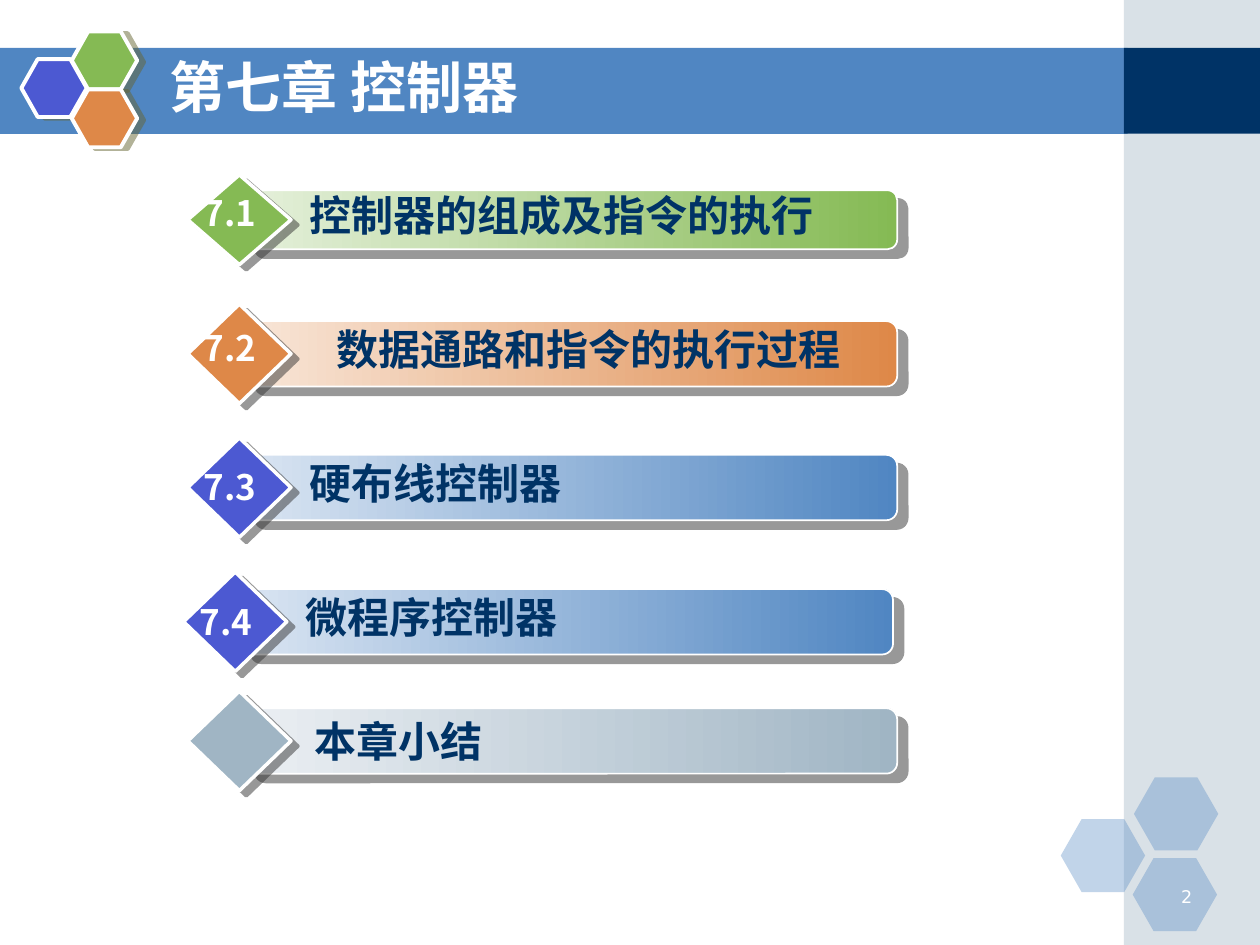
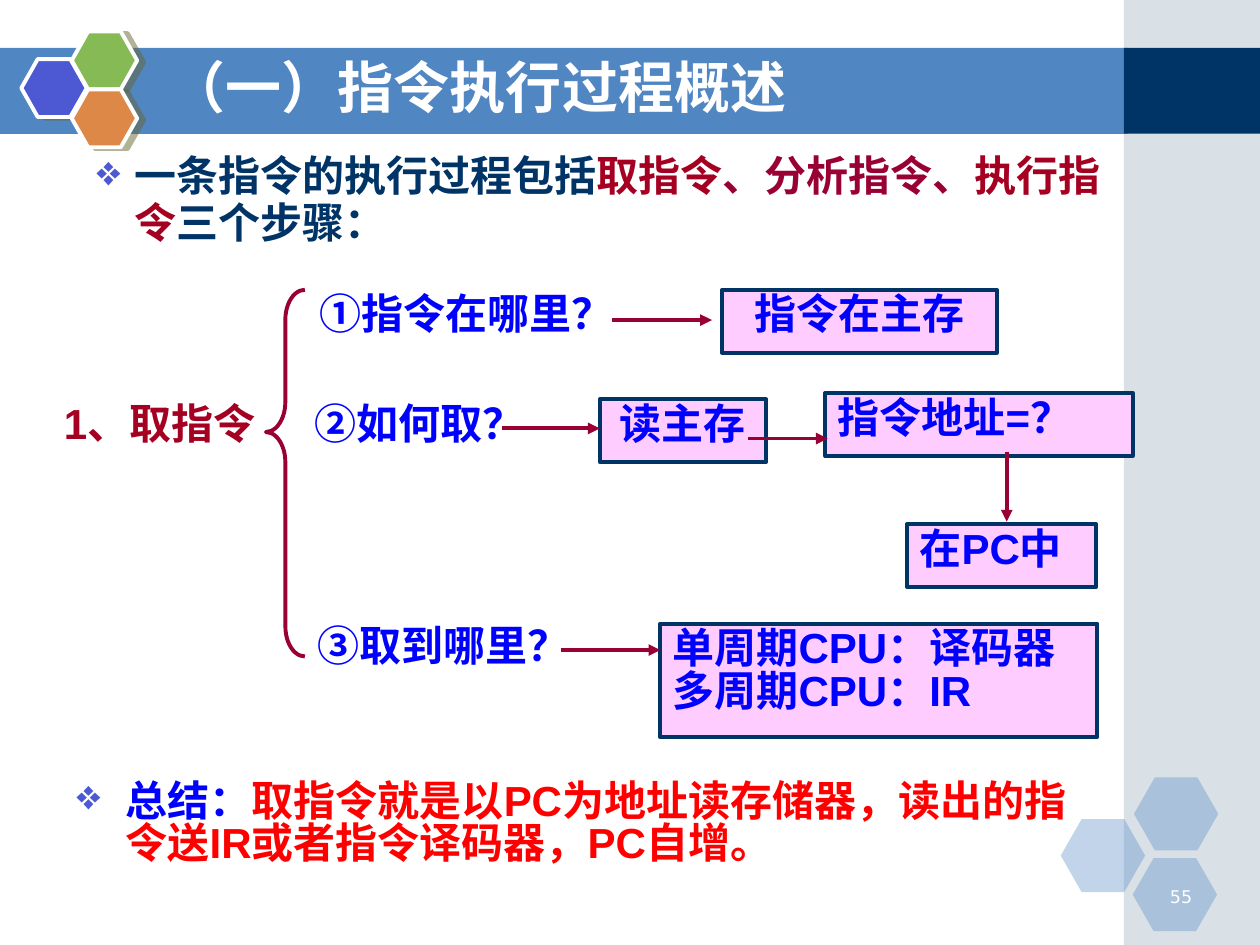
"""Build two slides about the controller chapter: an outline and the instruction fetch."""
import lxml.etree
import pptx
import pptx.dml.color
import pptx.enum.shapes
import pptx.enum.text
import pptx.oxml.ns
import pptx.util

Pt = pptx.util.Pt
Shape = pptx.enum.shapes.MSO_SHAPE
Align = pptx.enum.text.PP_ALIGN
Anchor = pptx.enum.text.MSO_ANCHOR
qn = pptx.oxml.ns.qn

WHITE, NAVY, BLUE, STEEL = "FFFFFF", "003366", "5086C2", "A0B5C4"
GREEN, ORANGE, INDIGO = "85BA54", "DE8848", "4C59D2"
CRIMSON, WINE, INK, RED, PINK = "A50021", "990033", "0000FF", "FF0000", "FFCCFF"
CJK = "Noto Sans CJK SC"
LINE_SPACING = 0.84


def rgb(value):
    return pptx.dml.color.RGBColor.from_string(value)


def add_xml(parent, tag, **attributes):
    return lxml.etree.SubElement(parent, qn(tag), attributes)


class Deck:
    """Holds the shared style and the current slide."""

    def __init__(self):
        self.prs = pptx.Presentation()
        self.prs.slide_width, self.prs.slide_height = Pt(720), Pt(540)
        self.slide = None

    def new_slide(self, title, number):
        self.slide = self.prs.slides.add_slide(self.prs.slide_layouts[6])
        self.shape(Shape.RECTANGLE, 0, 27.4, 644.4, 49.2, BLUE)
        self.shape(Shape.RECTANGLE, 642.2, 0, 77.8, 540, STEEL, alpha=40)
        self.shape(Shape.RECTANGLE, 642.2, 27.4, 77.8, 49, NAVY)
        for left, top in ((606.2, 468), (648, 444.2), (647.3, 490.3)):
            self.shape(Shape.HEXAGON, left, top, 48.2, 41.8, BLUE, alpha=35, adjust=[0.286])
        for left, top, color in ((12.2, 33.8, INDIGO), (41, 18, GREEN), (41, 51.1, ORANGE)):
            self.shape(Shape.HEXAGON, left, top, 37.4, 33.1, color, line=(WHITE, 2.25),
                       shadow=("666633", 4.1, 14), adjust=[0.283])
        self.text(652.3, 502.6, 36, 18, [[(number, WHITE)]], size=10, font="DejaVu Sans",
                  bold=False, align=Align.RIGHT, spacing=1)
        self.text(90, 30.2, 527.8, 44.6, [[(title, WHITE)]], size=32, font=CJK,
                  anchor=Anchor.MIDDLE)

    def shape(self, kind, left, top, width, height, fill=None, line=None, alpha=None,
              pale=None, shadow=None, adjust=()):
        shape = self.slide.shapes.add_shape(kind, Pt(left), Pt(top), Pt(width), Pt(height))
        for index, value in enumerate(adjust):
            shape.adjustments[index] = value
        if pale:
            shape.fill.gradient()
            shape.fill.gradient_angle = 0
            for stop, color in zip(shape.fill.gradient_stops, (pale, fill)):
                stop.color.rgb = rgb(color)
        elif fill:
            shape.fill.solid()
            shape.fill.fore_color.rgb = rgb(fill)
        else:
            shape.fill.background()
        properties = shape._element.spPr
        if alpha:
            color = properties.find(qn("a:solidFill")).find(qn("a:srgbClr"))
            add_xml(color, "a:alpha", val=str(alpha * 1000))
        if line:
            shape.line.color.rgb = rgb(line[0])
            shape.line.width = Pt(line[1])
        else:
            shape.line.fill.background()
        shape.shadow.inherit = False
        if shadow:
            color, distance, angle = shadow
            outer = add_xml(properties.find(qn("a:effectLst")), "a:outerShdw", blurRad="0",
                            dist=str(Pt(distance)), dir=str(angle * 60000), algn="ctr",
                            rotWithShape="0")
            add_xml(add_xml(outer, "a:srgbClr", val=color), "a:alpha", val="50000")
        return shape

    def set_text(self, shape, paragraphs, size=24, font="Arial", bold=True, align=Align.LEFT,
                 anchor=Anchor.TOP, spacing=LINE_SPACING, margin=7.2, hang=0):
        frame = shape.text_frame
        frame.word_wrap = True
        frame.vertical_anchor = anchor
        frame.margin_left, frame.margin_right = Pt(margin), Pt(7.2)
        frame.margin_top = frame.margin_bottom = Pt(3.6)
        for index, pieces in enumerate(paragraphs):
            paragraph = frame.add_paragraph() if index else frame.paragraphs[0]
            paragraph.alignment = align
            paragraph.line_spacing = spacing
            if hang:
                properties = paragraph._p.get_or_add_pPr()
                properties.set("marL", str(Pt(hang)))
                properties.set("indent", str(Pt(-hang)))
                add_xml(add_xml(properties, "a:buClr"), "a:srgbClr", val=INDIGO)
                add_xml(properties, "a:buChar", char="❖")
            for words, color in pieces:
                run = paragraph.add_run()
                run.text = words
                run.font.size, run.font.bold, run.font.name = Pt(size), bold, font
                run.font.color.rgb = rgb(color)
                add_xml(run._r.get_or_add_rPr(), "a:ea", typeface=CJK)

    def text(self, left, top, width, height, paragraphs, **style):
        box = self.slide.shapes.add_textbox(Pt(left), Pt(top), Pt(width), Pt(height))
        self.set_text(box, paragraphs, **style)

    def answer(self, left, top, width, height, lines, align=Align.LEFT):
        box = self.shape(Shape.RECTANGLE, left, top, width, height, PINK, line=(NAVY, 2.25))
        self.set_text(box, [[(words, INK)] for words in lines], align=align)

    def arrow(self, x1, y1, x2, y2):
        arrow = self.slide.shapes.add_connector(
            pptx.enum.shapes.MSO_CONNECTOR.STRAIGHT, Pt(x1), Pt(y1), Pt(x2), Pt(y2))
        arrow.line.color.rgb = rgb(WINE)
        arrow.line.width = Pt(2.25)
        add_xml(arrow._element.spPr.find(qn("a:ln")), "a:tailEnd", type="triangle")
        add_xml(arrow._element.spPr, "a:effectLst")

    def section(self, number, name, color, pale, middle, height=37.4, shift=0, gem=None,
                number_rise=12, name_rise=16, name_left=159.8, align=Align.LEFT):
        self.shape(Shape.ROUNDED_RECTANGLE, 139.7 + shift, middle - height / 2, 373, height,
                   color, line=(WHITE, 1), pale=pale, shadow=("333333", 7.8, 40),
                   adjust=[0.167])
        diamond = height * 1.52
        self.shape(Shape.DIAMOND, 107.3 + shift, middle - diamond / 2, 59, diamond,
                   gem or color, line=(WHITE, 2), shadow=("333333", 5, 37))
        margin = 7.2 if align == Align.CENTER else 17.2
        self.text(name_left + shift, middle - name_rise, 353.5, 36, [[(name, NAVY)]],
                  font=CJK, align=align, margin=margin)
        if number:
            self.text(109.4 + shift, middle - number_rise, 60, 31.7, [[(number, WHITE)]],
                      size=20, font=CJK)


def build_outline(deck):
    deck.new_slide("第七章 控制器", "2")
    deck.section("7.1", "控制器的组成及指令的执行", GREEN, "E5F0DB", 125.6, height=33.8,
                 number_rise=16)
    deck.section("7.2", "数据通路和指令的执行过程", ORANGE, "F8E6D8", 202.2, number_rise=15,
                 align=Align.CENTER)
    deck.section("7.3", "硬布线控制器", BLUE, "DAE5F2", 278.6, gem=INDIGO)
    deck.section("7.4", "微程序控制器", BLUE, "DAE5F2", 355.3, shift=-2.4, gem=INDIGO)
    deck.section("", "本章小结", STEEL, "EBEFF3", 423.4, name_rise=13.5, name_left=162.7)


def build_fetch(deck):
    deck.new_slide("（一）指令执行过程概述", "55")
    deck.text(48.2, 84.8, 589.8, 73.4, [[
        ("一条指令的执行过程包括", NAVY), ("取指令", CRIMSON), ("、分析指令、", WINE),
        ("执行指令", CRIMSON), ("三个步骤：", NAVY)]], spacing=0.92, hang=21.6)
    deck.text(29.5, 228.2, 134.6, 36, [[("1、取指令", CRIMSON)]])
    deck.shape(Shape.LEFT_BRACE, 151.9, 165.6, 22.3, 209.5, line=(WINE, 2.25),
               adjust=[0.77, 0.388])
    for question, left, top, width in (("①指令在哪里？", 175.7, 165.6, 178.6),
                                       ("②如何取？", 172.8, 228.2, 147.6),
                                       ("③取到哪里？", 174.2, 355, 162.7)):
        deck.text(left, top, width, 36, [[(question, INK)]])
    deck.answer(412.6, 165.6, 157, 36, ["指令在主存"], Align.CENTER)
    deck.answer(342.7, 228.2, 95, 36, ["读主存"], Align.CENTER)
    deck.answer(471.6, 224.6, 175.7, 36, ["指令地址=？"])
    deck.answer(518.4, 299.5, 108, 36, ["在PC中"])
    deck.answer(377.3, 356.4, 249.8, 64.8, ["单周期CPU：译码器", "多周期CPU：IR"])
    for ends in ((349.9, 182.9, 406.8, 182.9), (286.6, 244.8, 342.7, 244.8),
                 (427.7, 250.6, 473, 250.6), (575.3, 258.5, 575.3, 298.1),
                 (320.4, 371.5, 377.3, 371.5)):
        deck.arrow(*ends)
    deck.text(36.7, 443.5, 595.4, 64.8, [[
        ("总结：", INK),
        ("取指令就是以PC为地址读存储器，读出的指令送IR或者指令译码器，PC自增。", RED)]],
        hang=28.1)


def main():
    deck = Deck()
    build_outline(deck)
    build_fetch(deck)
    deck.prs.save("out.pptx")


if __name__ == "__main__":
    main()
